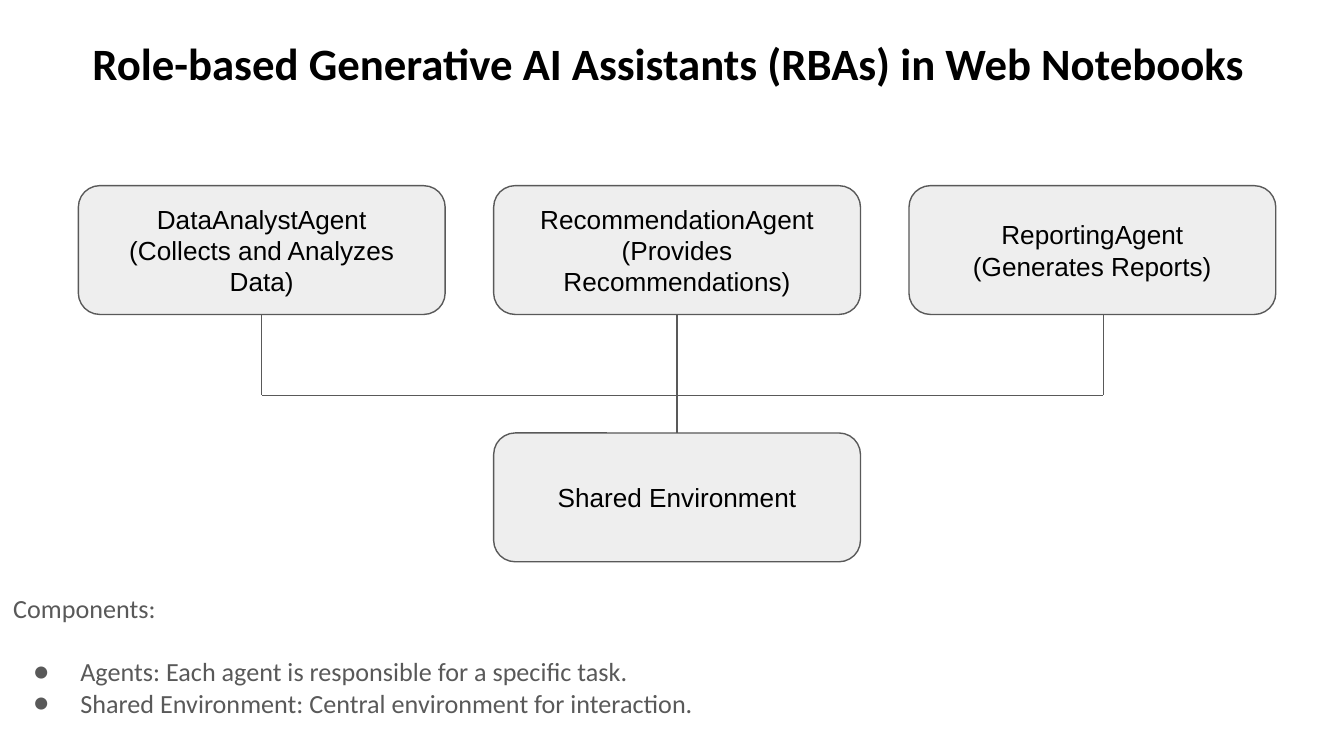
from dataclasses import dataclass

import pptx
import pptx.dml.color
import pptx.enum.shapes
import pptx.enum.text
import pptx.oxml
import pptx.oxml.ns
import pptx.util

Pt = pptx.util.Pt
RGBColor = pptx.dml.color.RGBColor
Align = pptx.enum.text.PP_ALIGN
Anchor = pptx.enum.text.MSO_ANCHOR

BLACK = RGBColor(0x00, 0x00, 0x00)
GREY = RGBColor(0x59, 0x59, 0x59)
PALE = RGBColor(0xEE, 0xEE, 0xEE)

BOX_WIDTH, BOX_HEIGHT = 196.5, 69
BOX_LEFT, BOX_STEP = 42, 222.5
AGENT_TOP, ENVIRONMENT_TOP = 99.5, 232
BUS_Y = 211.75
BUS_RIGHT = 591
TOP_SIDE, BOTTOM_SIDE = 0, 2


@dataclass
class Node:
    label: str
    column: int
    top: float

    @property
    def left(self) -> float:
        return BOX_LEFT + self.column * BOX_STEP

    @property
    def middle(self) -> float:
        return self.left + BOX_WIDTH / 2

    @property
    def bottom(self) -> float:
        return self.top + BOX_HEIGHT


AGENTS = [
    Node("DataAnalystAgent\v(Collects and Analyzes Data)", 0, AGENT_TOP),
    Node("RecommendationAgent\n(Provides Recommendations)", 1, AGENT_TOP),
    Node("ReportingAgent\v(Generates Reports)", 2, AGENT_TOP),
]
ENVIRONMENT = Node("Shared Environment", 1, ENVIRONMENT_TOP)
COMPONENTS = [
    "Agents: Each agent is responsible for a specific task.",
    "Shared Environment: Central environment for interaction.",
]


def set_all(target, values: dict) -> None:
    for name, value in values.items():
        setattr(target, name, value)


def format_frame(frame, anchor) -> None:
    set_all(frame, {
        "word_wrap": True,
        "auto_size": pptx.enum.text.MSO_AUTO_SIZE.NONE,
        "vertical_anchor": anchor,
        "margin_left": Pt(7.2), "margin_right": Pt(7.2),
        "margin_top": Pt(7.2), "margin_bottom": Pt(7.2),
    })


def format_paragraph(paragraph, align, size: float, font: str,
                     color: RGBColor, bold: bool = False) -> None:
    paragraph.alignment = align
    set_all(paragraph.font, {"size": Pt(size), "name": font, "bold": bold})
    paragraph.font.color.rgb = color


def add_title(page, text: str) -> None:
    title = page.shapes.title
    set_all(title, {"left": Pt(12), "top": Pt(4.5),
                    "width": Pt(692), "height": Pt(50.5)})
    title.text_frame.text = text
    format_frame(title.text_frame, Anchor.BOTTOM)
    format_paragraph(title.text_frame.paragraphs[0], Align.CENTER, 24,
                     "Calibri", BLACK, bold=True)


def add_node(page, node: Node):
    box = page.shapes.add_shape(
        pptx.enum.shapes.MSO_SHAPE.ROUNDED_RECTANGLE,
        Pt(node.left), Pt(node.top), Pt(BOX_WIDTH), Pt(BOX_HEIGHT))
    box.shadow.inherit = False
    box.fill.solid()
    box.fill.fore_color.rgb = PALE
    box.line.color.rgb = GREY
    box.line.width = Pt(0.75)
    box.text_frame.text = node.label
    format_frame(box.text_frame, Anchor.MIDDLE)
    for paragraph in box.text_frame.paragraphs:
        format_paragraph(paragraph, Align.CENTER, 14, "Arial", BLACK)
    return box


def add_line(page, x1: float, y1: float, x2: float, y2: float):
    line = page.shapes.add_connector(
        pptx.enum.shapes.MSO_CONNECTOR.STRAIGHT,
        Pt(x1), Pt(y1), Pt(x2), Pt(y2))
    line.line.color.rgb = GREY
    line.line.width = Pt(0.75)
    properties = line._element.spPr
    properties.append(pptx.oxml.xmlchemy.OxmlElement("a:effectLst"))
    return line


def add_bullet(paragraph) -> None:
    properties = paragraph._p.get_or_add_pPr()
    properties.set("marL", str(Pt(36)))
    properties.set("indent", str(-Pt(25.2)))
    namespace = pptx.oxml.ns.nsdecls("a")
    for xml in (
        f'<a:buClr {namespace}><a:srgbClr val="{GREY}"/></a:buClr>',
        f'<a:buFont {namespace} typeface="Calibri"/>',
        f'<a:buChar {namespace} char="●"/>',
    ):
        properties.append(pptx.oxml.parse_xml(xml))


def add_components(page, heading: str, items: list[str]) -> None:
    box = page.shapes.add_textbox(Pt(0), Pt(310.25), Pt(399), Pt(104.5))
    frame = box.text_frame
    frame.text = "\n".join([heading, *items])
    format_frame(frame, Anchor.TOP)
    for index, paragraph in enumerate(frame.paragraphs):
        if index > 0:
            add_bullet(paragraph)
        format_paragraph(paragraph, Align.LEFT, 14, "Calibri", GREY)
    frame.paragraphs[1].space_before = Pt(17)


def main() -> None:
    deck = pptx.Presentation()
    deck.slide_width, deck.slide_height = Pt(720), Pt(405)
    page = deck.slides.add_slide(deck.slide_layouts[5])

    add_title(page, "Role-based Generative AI Assistants (RBAs) in Web Notebooks")
    analyst, recommender, reporter = AGENTS
    agent_boxes = [add_node(page, agent) for agent in AGENTS]
    environment_box = add_node(page, ENVIRONMENT)

    left_drop = add_line(page, analyst.middle, analyst.bottom,
                         analyst.middle, BUS_Y)
    left_drop.begin_connect(agent_boxes[0], BOTTOM_SIDE)
    trunk = add_line(page, recommender.middle, recommender.bottom,
                     ENVIRONMENT.middle, ENVIRONMENT.top)
    trunk.begin_connect(agent_boxes[1], BOTTOM_SIDE)
    trunk.end_connect(environment_box, TOP_SIDE)
    add_line(page, BUS_RIGHT, reporter.bottom, BUS_RIGHT, BUS_Y)
    for start, end in ((analyst.middle, recommender.middle),
                       (recommender.middle, BUS_RIGHT)):
        add_line(page, start, BUS_Y, end, BUS_Y)

    add_components(page, "Components:", COMPONENTS)
    deck.save("out.pptx")


if __name__ == "__main__":
    main()
